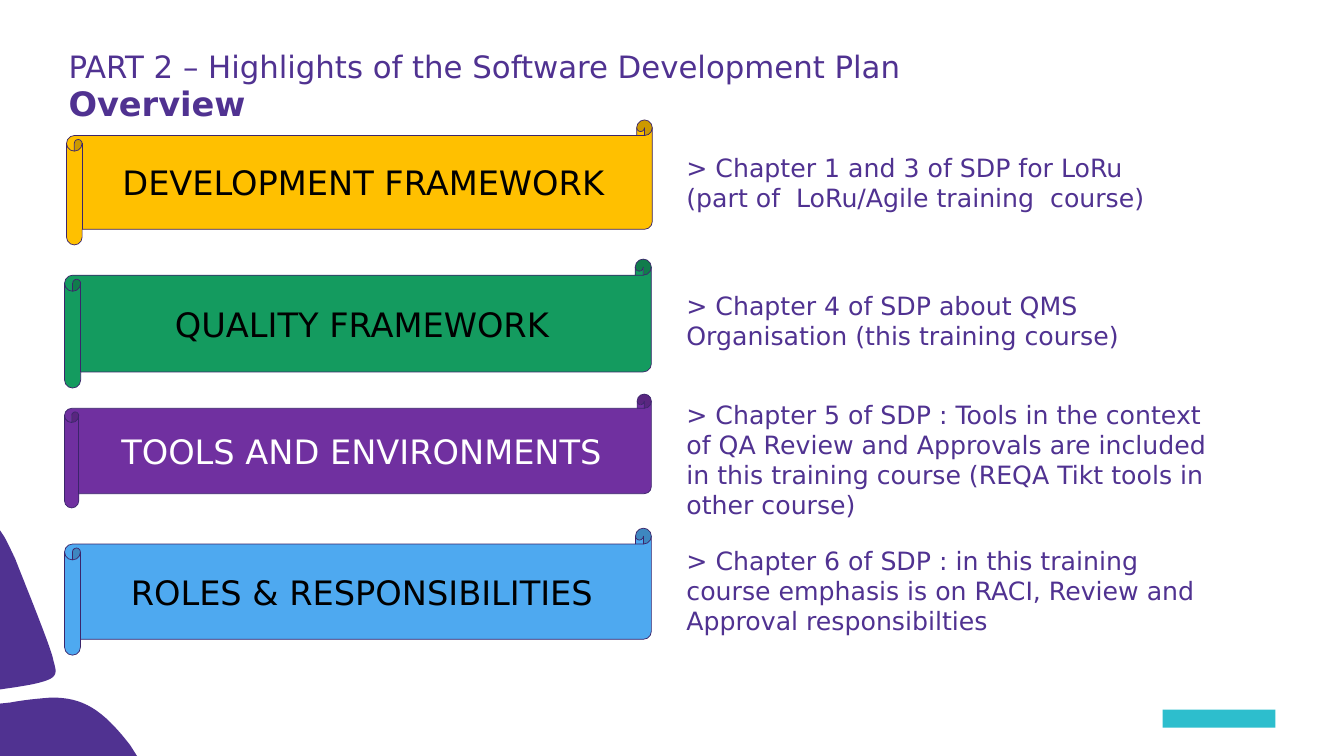
import pptx
import pptx.dml.color
import pptx.enum.shapes
import pptx.enum.text
import pptx.util

Inches = pptx.util.Inches
Pt = pptx.util.Pt
MSO_SHAPE = pptx.enum.shapes.MSO_SHAPE
PP_ALIGN = pptx.enum.text.PP_ALIGN
MSO_ANCHOR = pptx.enum.text.MSO_ANCHOR

FONT = "DejaVu Sans"
PURPLE, OUTLINE, TEAL = "503291", "3B256B", "2DBECD"

# text, (left, top, width, height), margins (left, top, right, bottom), format
HEADINGS = [
    ("PART 2 – Highlights of the Software Development Plan",
     (0.68, 0.45, 11.97, 0.44), (0, 0.02, 0, 0), {"size": Pt(22)}),
    ("Overview", (0.68, 0.89, 11.97, 0.36), (0, 0, 0, 0.02),
     {"size": Pt(24), "bold": True}),
]

# label, fill, text colour, scroll box, note, note box
TOPICS = [
    ("DEVELOPMENT FRAMEWORK", "FFC000", "000000", (0.66, 1.19, 5.81, 1.24),
     "> Chapter 1 and 3 of SDP for LoRu (part of  LoRu/Agile training  course)",
     (6.71, 1.46, 4.94, 0.71)),
    ("QUALITY FRAMEWORK", "149B5F", "000000", (0.64, 2.57, 5.82, 1.28),
     "> Chapter 4 of SDP about QMS Organisation (this training course)",
     (6.71, 2.83, 4.66, 0.71)),
    ("TOOLS AND ENVIRONMENTS", "7030A0", "FFFFFF", (0.64, 3.91, 5.82, 1.13),
     "> Chapter 5 of SDP : Tools in the context of QA Review and Approvals are "
     "included in this training course (REQA Tikt tools in other course)",
     (6.71, 3.91, 5.5, 1.31)),
    ("ROLES & RESPONSIBILITIES", "4EA9F0", "000000", (0.64, 5.24, 5.82, 1.26),
     "> Chapter 6 of SDP : in this training course emphasis is on RACI, Review "
     "and Approval responsibilties",
     (6.71, 5.36, 5.31, 1.01)),
]

# Each step holds one point (straight line) or three points (Bézier curve)
PETALS = [
    [[(0, 6.98)], [(0.1, 6.97)], [(0.26, 6.94), (0.39, 6.93), (0.51, 6.92)],
     [(0.82, 6.92), (1.01, 7.03), (1.29, 7.39)], [(1.36, 7.5)], [(0, 7.5)]],
    [[(0, 5.26)], [(0.04, 5.32)], [(0.08, 5.39), (0.11, 5.46), (0.15, 5.54)],
     [(0.23, 5.75), (0.51, 6.43), (0.53, 6.55)],
     [(0.56, 6.67), (0.59, 6.72), (0.4, 6.77)],
     [(0.33, 6.79), (0.21, 6.81), (0.07, 6.83)], [(0, 6.84)]],
]
LOGO_BOX = (11.53, 7.04, 1.12, 0.18)


def color(value):
    return pptx.dml.color.RGBColor.from_string(value)


def set_attributes(target, values):
    for name, value in values.items():
        setattr(target, name, value)


def paint(shape, fill, line=None):
    shape.shadow.inherit = False
    shape.fill.solid()
    shape.fill.fore_color.rgb = color(fill)
    if line:
        shape.line.color.rgb = color(line)
        shape.line.width = Pt(0.5)
    else:
        shape.line.fill.background()


def write(shape, text, text_color, font_format, paragraph_format=None, frame_format=None):
    frame = shape.text_frame
    set_attributes(frame, {"word_wrap": True, **(frame_format or {})})
    paragraph = frame.paragraphs[0]
    set_attributes(paragraph, paragraph_format or {})
    run = paragraph.add_run()
    run.text = text
    set_attributes(run.font, {"name": FONT, **font_format})
    run.font.color.rgb = color(text_color)


def flatten(steps, pieces=16):
    """Turn lines and Bézier curves into a list of outline points."""
    points = []
    for step in steps:
        if len(step) == 1:
            points += step
            continue
        controls = [points[-1], *step]
        for index in range(1, pieces + 1):
            t = index / pieces
            weights = ((1 - t) ** 3, 3 * t * (1 - t) ** 2, 3 * t * t * (1 - t), t ** 3)
            points.append(tuple(sum(w * c[axis] for w, c in zip(weights, controls))
                                for axis in (0, 1)))
    return points


def add_petal(slide, steps):
    start, *rest = [(Inches(x), Inches(y)) for x, y in flatten(steps)]
    builder = slide.shapes.build_freeform(*start)
    builder.add_line_segments(rest, close=True)
    paint(builder.convert_to_shape(), PURPLE)


def main():
    presentation = pptx.Presentation()
    presentation.slide_width = Inches(13.33)
    presentation.slide_height = Inches(7.5)
    slide = presentation.slides.add_slide(presentation.slide_layouts[6])

    logo = slide.shapes.add_shape(MSO_SHAPE.RECTANGLE, *map(Inches, LOGO_BOX))
    paint(logo, TEAL)
    for steps in PETALS:
        add_petal(slide, steps)

    sides = ("margin_left", "margin_top", "margin_right", "margin_bottom")
    for text, box, margins, font_format in HEADINGS:
        heading = slide.shapes.add_textbox(*map(Inches, box))
        write(heading, text, PURPLE, font_format,
              {"line_spacing": Pt(24)} if font_format.get("bold") else None,
              dict(zip(sides, map(Inches, margins))))

    for label, fill, label_color, scroll_box, note, note_box in TOPICS:
        scroll = slide.shapes.add_shape(MSO_SHAPE.HORIZONTAL_SCROLL, *map(Inches, scroll_box))
        paint(scroll, fill, OUTLINE)
        write(scroll, label, label_color, {"size": Pt(24)},
              {"alignment": PP_ALIGN.CENTER}, {"vertical_anchor": MSO_ANCHOR.MIDDLE})
        note_shape = slide.shapes.add_textbox(*map(Inches, note_box))
        write(note_shape, note, PURPLE, {"size": Pt(18)})

    presentation.save("out.pptx")


if __name__ == "__main__":
    main()
